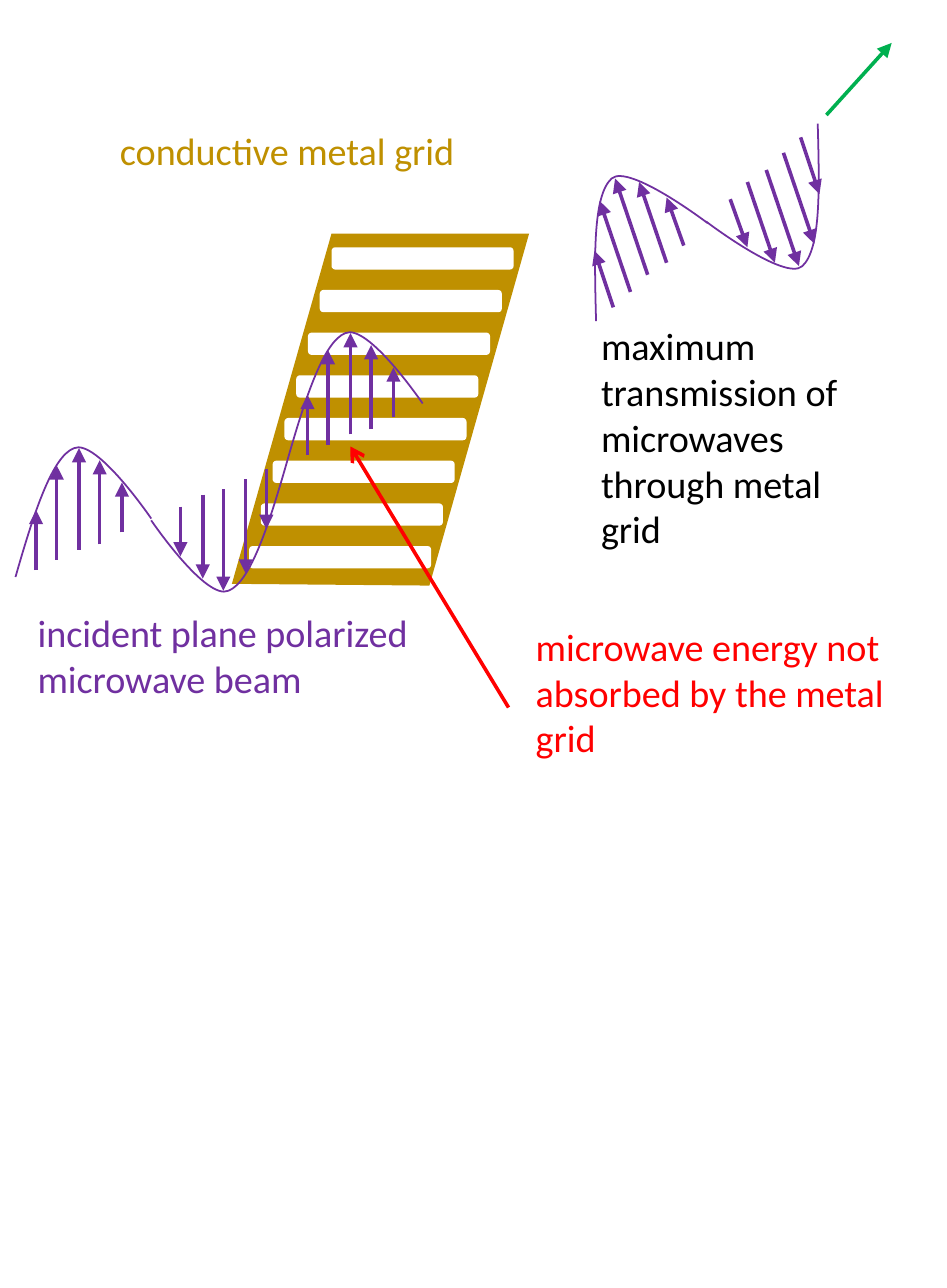
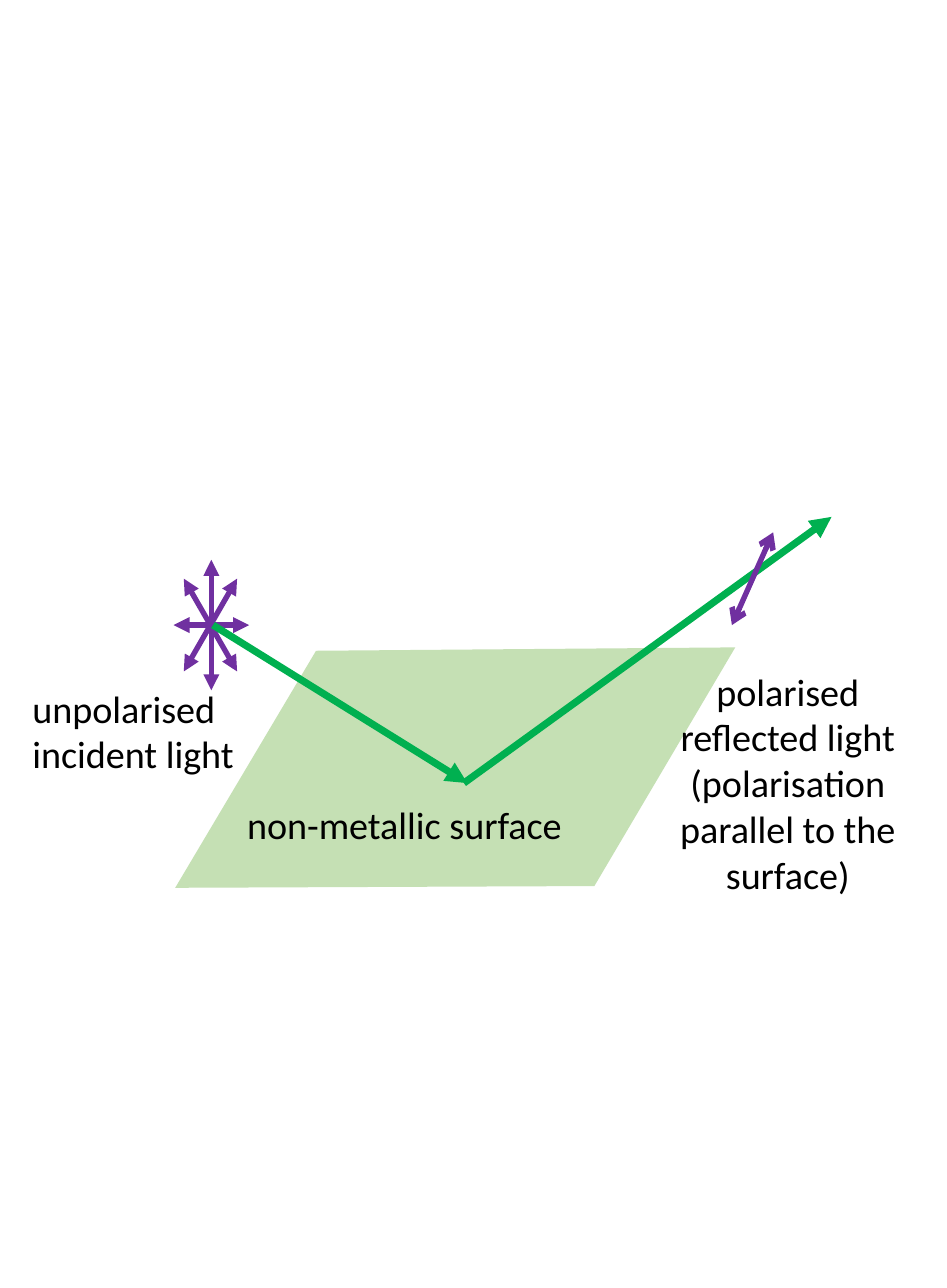
from dataclasses import dataclass, field
from typing import Optional

from lxml.etree import SubElement
from pptx import Presentation
from pptx.dml.color import RGBColor
from pptx.enum.shapes import MSO_CONNECTOR, MSO_SHAPE
from pptx.enum.text import MSO_AUTO_SIZE, PP_ALIGN
from pptx.oxml.ns import qn
from pptx.util import Inches, Pt

Point = tuple[float, float]


@dataclass(frozen=True)
class Theme:
    font: str = "Calibri"
    text_size: float = 16
    curve_width: float = 0.75
    arrow_width: float = 1.5
    spoke_width: float = 2.25
    ray_width: float = 3
    black: RGBColor = field(default_factory=lambda: RGBColor.from_string("000000"))
    white: RGBColor = field(default_factory=lambda: RGBColor.from_string("FFFFFF"))
    gold: RGBColor = field(default_factory=lambda: RGBColor.from_string("BF9000"))
    purple: RGBColor = field(default_factory=lambda: RGBColor.from_string("7030A0"))
    red: RGBColor = field(default_factory=lambda: RGBColor.from_string("FF0000"))
    green: RGBColor = field(default_factory=lambda: RGBColor.from_string("00B050"))
    surface: RGBColor = field(default_factory=lambda: RGBColor.from_string("C5E0B4"))


THEME = Theme()


@dataclass(frozen=True)
class Label:
    left: float
    top: float
    width: float
    height: float
    lines: tuple[str, ...]
    color: RGBColor = THEME.black
    align: PP_ALIGN = PP_ALIGN.LEFT
    wrap: bool = True


@dataclass(frozen=True)
class Arrow:
    start: Point
    end: Point
    color: RGBColor = THEME.purple
    width: float = THEME.arrow_width
    head: Optional[str] = None
    tail: str = "triangle"


@dataclass(frozen=True)
class HalfWave:
    curve: tuple[Point, ...]
    arrows: tuple[tuple[Point, Point], ...]


@dataclass(frozen=True)
class Placement:
    wave: HalfWave
    sign: int = 1
    shift: Point = (0, 0)

    def locate(self, point: Point) -> Point:
        return (self.shift[0] + self.sign * point[0],
                self.shift[1] + self.sign * point[1])


INCIDENT = HalfWave(
    curve=((0.09, 3.36), (0.19, 3.01), (0.3, 2.66), (0.43, 2.61),
           (0.56, 2.55), (0.88, 3.02), (0.88, 3.02)),
    arrows=tuple(((x, bottom), (x, top)) for x, bottom, top in (
        (0.21, 3.32, 2.97), (0.33, 3.26, 2.71), (0.46, 3.2, 2.61),
        (0.58, 3.17, 2.68), (0.71, 3.1, 2.81))),
)
TRANSMITTED = HalfWave(
    curve=((3.47, 1.87), (3.46, 1.5), (3.45, 1.14), (3.56, 1.04),
           (3.66, 0.95), (4.12, 1.3), (4.12, 1.3)),
    arrows=(((3.57, 1.79), (3.46, 1.46)), ((3.67, 1.7), (3.49, 1.17)),
            ((3.77, 1.6), (3.58, 1.04)), ((3.88, 1.53), (3.72, 1.06)),
            ((3.98, 1.43), (3.88, 1.15))),
)
INCIDENT_BEAM = (
    Placement(INCIDENT),
    Placement(INCIDENT, -1, (1.76, 6.05)),
    Placement(INCIDENT, 1, (1.58, -0.67)),
)
TRANSMITTED_BEAM = (
    Placement(TRANSMITTED),
    Placement(TRANSMITTED, -1, (8.23, 2.59)),
)

GRID_OUTLINE = ((2.5, 3.41), (3.08, 1.36), (1.93, 1.36), (1.35, 3.4))
SLOT_COUNT = 8
SLOT_SIZE = (1.06, 0.13)
SLOT_FIRST = (1.45, 3.18)
SLOT_LAST = (1.93, 1.44)
SURFACE_OUTLINE = ((1.02, 5.17), (3.46, 5.16), (4.28, 3.77), (1.84, 3.79))

GRID_LABELS = (
    Label(0.6, 0.69, 2.17, 0.37, ("conductive metal grid",), THEME.gold, wrap=False),
    Label(0.12, 3.5, 2.55, 0.64, ("incident plane polarized microwave beam",), THEME.purple),
    Label(3.02, 3.58, 2.24, 0.91,
          ("microwave energy not absorbed by the metal grid",), THEME.red),
    Label(3.4, 1.83, 1.86, 1.45,
          ("maximum transmission of microwaves through metal grid",)),
)
REFLECTION_LABELS = (
    Label(0.09, 3.94, 1.45, 0.64, ("unpolarised incident light",)),
    Label(3.79, 3.84, 1.59, 1.45,
          ("polarised reflected light", "(polarisation parallel to the surface)"),
          align=PP_ALIGN.CENTER),
    Label(1.34, 4.62, 2.05, 0.37, ("non-metallic surface",), wrap=False),
)
SPOKES = (
    ((1.23, 3.26), (1.23, 4.02)),
    ((1.07, 3.37), (1.38, 3.91)),
    ((1.38, 3.37), (1.07, 3.91)),
    ((1.45, 3.64), (1.01, 3.64)),
)


def to_lengths(points: tuple[Point, ...]) -> list[tuple[int, int]]:
    return [(Inches(x), Inches(y)) for x, y in points]


def draw_label(page, label: Label) -> None:
    box = page.shapes.add_textbox(Inches(label.left), Inches(label.top),
                                  Inches(label.width), Inches(label.height))
    frame = box.text_frame
    frame.text = "\n".join(label.lines)
    frame.word_wrap = label.wrap
    frame.auto_size = MSO_AUTO_SIZE.SHAPE_TO_FIT_TEXT
    for para in frame.paragraphs:
        para.alignment = label.align
        for span in para.runs:
            span.font.name = THEME.font
            span.font.size = Pt(THEME.text_size)
            span.font.color.rgb = label.color


def draw_arrow(shapes, arrow: Arrow) -> None:
    (x1, y1), (x2, y2) = arrow.start, arrow.end
    connector = shapes.add_connector(MSO_CONNECTOR.STRAIGHT, Inches(x1), Inches(y1),
                                     Inches(x2), Inches(y2))
    connector.line.color.rgb = arrow.color
    connector.line.width = Pt(arrow.width)
    properties = connector._element.spPr
    line = properties.find(qn("a:ln"))
    if arrow.head:
        SubElement(line, qn("a:headEnd"), type=arrow.head)
    SubElement(line, qn("a:tailEnd"), type=arrow.tail)
    SubElement(properties, qn("a:effectLst"))


def draw_panel(shapes, outline: tuple[Point, ...], color: RGBColor) -> None:
    first, *others = to_lengths(outline)
    builder = shapes.build_freeform(*first)
    builder.add_line_segments(others, close=True)
    panel = builder.convert_to_shape()
    panel.shadow.inherit = False
    panel.fill.solid()
    panel.fill.fore_color.rgb = color
    panel.line.fill.background()


def draw_curve(shapes, points: tuple[Point, ...]) -> None:
    first, *others = to_lengths(points)
    builder = shapes.build_freeform(*first)
    builder.add_line_segments(others, close=False)
    curve = builder.convert_to_shape()
    curve.shadow.inherit = False
    curve.fill.background()
    curve.line.color.rgb = THEME.purple
    curve.line.width = Pt(THEME.curve_width)
    segments = list(curve._element.iter(qn("a:lnTo")))
    outline = segments[0].getparent()
    for start in range(0, len(segments), 3):
        bezier = SubElement(outline, qn("a:cubicBezTo"))
        for segment in segments[start:start + 3]:
            bezier.append(segment[0])
            outline.remove(segment)


def draw_beam(page, beam: tuple[Placement, ...]) -> None:
    shapes = page.shapes.add_group_shape().shapes
    for half in beam:
        draw_curve(shapes, tuple(half.locate(point) for point in half.wave.curve))
        for start, end in half.wave.arrows:
            draw_arrow(shapes, Arrow(half.locate(start), half.locate(end)))


def draw_metal_grid(page) -> None:
    shapes = page.shapes.add_group_shape().shapes
    draw_panel(shapes, GRID_OUTLINE, THEME.gold)
    for index in range(SLOT_COUNT):
        left, top = (first + (last - first) * index / (SLOT_COUNT - 1)
                     for first, last in zip(SLOT_FIRST, SLOT_LAST))
        slot = shapes.add_shape(MSO_SHAPE.FLOWCHART_ALTERNATE_PROCESS, Inches(left),
                                Inches(top), Inches(SLOT_SIZE[0]), Inches(SLOT_SIZE[1]))
        slot.shadow.inherit = False
        slot.fill.solid()
        slot.fill.fore_color.rgb = THEME.white
        slot.line.fill.background()


def build_grid_page(page) -> None:
    draw_metal_grid(page)
    draw_beam(page, INCIDENT_BEAM)
    for label in GRID_LABELS:
        draw_label(page, label)
    draw_arrow(page.shapes, Arrow((2.96, 4.12), (2.04, 2.6), THEME.red, tail="arrow"))
    draw_beam(page, TRANSMITTED_BEAM)
    draw_arrow(page.shapes, Arrow((4.81, 0.67), (5.19, 0.25), THEME.green))


def build_reflection_page(page) -> None:
    draw_panel(page.shapes, SURFACE_OUTLINE, THEME.surface)
    star = page.shapes.add_group_shape().shapes
    for start, end in SPOKES:
        draw_arrow(star, Arrow(start, end, width=THEME.spoke_width, head="triangle"))
    for start, end in (((1.24, 3.64), (2.72, 4.56)), ((2.7, 4.56), (4.84, 3.01))):
        draw_arrow(page.shapes, Arrow(start, end, THEME.green, THEME.ray_width))
    draw_arrow(page.shapes, Arrow((4.5, 3.1), (4.26, 3.64), width=THEME.spoke_width,
                                  head="arrow", tail="arrow"))
    for label in REFLECTION_LABELS:
        draw_label(page, label)


def main() -> None:
    deck = Presentation()
    deck.slide_width = Inches(5.512)
    deck.slide_height = Inches(7.5)
    blank_layout = deck.slide_layouts[6]
    grid_page = deck.slides.add_slide(blank_layout)
    build_grid_page(grid_page)
    reflection_page = deck.slides.add_slide(blank_layout)
    build_reflection_page(reflection_page)
    deck.save("out.pptx")


if __name__ == "__main__":
    main()
